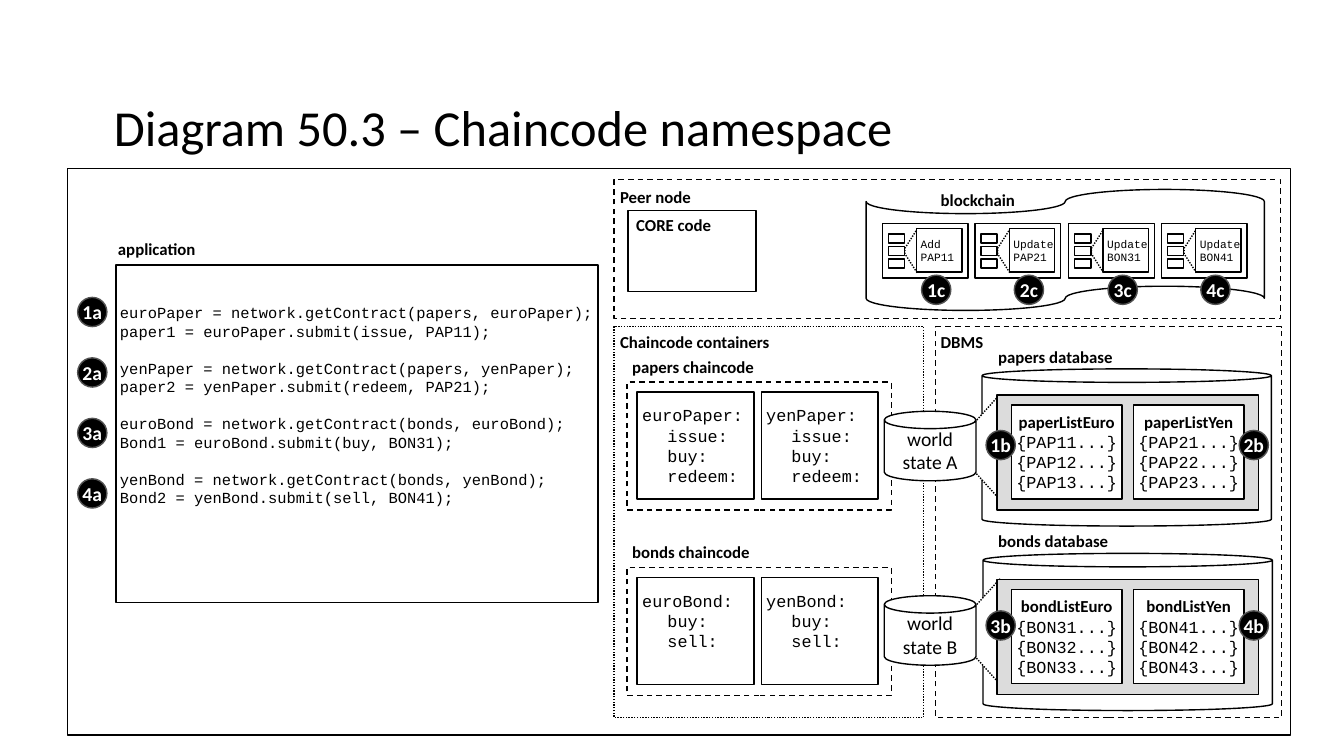
from pptx import Presentation
from pptx.dml.color import RGBColor
from pptx.enum.dml import MSO_LINE
from pptx.enum.shapes import MSO_SHAPE
from pptx.enum.text import MSO_ANCHOR, PP_ALIGN
from pptx.util import Emu, Pt

PX = 9144
BLACK = RGBColor(0x00, 0x00, 0x00)
WHITE = RGBColor(0xFF, 0xFF, 0xFF)
GREY = RGBColor(0xDC, 0xDC, 0xDC)
BADGE_EDGE = RGBColor(0x53, 0x53, 0x53)
SANS, MONO = "Calibri", "Courier New"
RECTANGLE, OVAL, CAN = MSO_SHAPE.RECTANGLE, MSO_SHAPE.OVAL, MSO_SHAPE.CAN
TRAPEZOID, TAPE = MSO_SHAPE.TRAPEZOID, MSO_SHAPE.FLOWCHART_PUNCHED_TAPE
DASH, DOT = MSO_LINE.DASH, MSO_LINE.ROUND_DOT
TOP, MIDDLE = MSO_ANCHOR.TOP, MSO_ANCHOR.MIDDLE
LEFT, CENTER = PP_ALIGN.LEFT, PP_ALIGN.CENTER

CALLS = [
    ("euroPaper = network.getContract(papers, euroPaper);",
     "paper1 = euroPaper.submit(issue, PAP11);"),
    ("yenPaper = network.getContract(papers, yenPaper);",
     "paper2 = yenPaper.submit(redeem, PAP21);"),
    ("euroBond = network.getContract(bonds, euroBond);",
     "Bond1 = euroBond.submit(buy, BON31);"),
    ("yenBond = network.getContract(bonds, yenBond);",
     "Bond2 = yenBond.submit(sell, BON41);"),
]
BLOCKS = [("Add", "PAP11"), ("Update", "PAP21"),
          ("Update", "BON31"), ("Update", "BON41")]


def emu(*lengths):
    return [Emu(round(length * PX)) for length in lengths]


def set_frame(shape, anchor=MIDDLE, margins=(5, 5, 5, 5), wrap=True):
    frame = shape.text_frame
    frame.word_wrap = wrap
    frame.vertical_anchor = anchor
    (frame.margin_left, frame.margin_top,
     frame.margin_right, frame.margin_bottom) = emu(*margins)


def write(shape, text, size=12, font=SANS, color=BLACK, bold=False,
          align=LEFT, indent=0, before=0, spacing=None):
    frame = shape.text_frame
    paragraph = frame.add_paragraph() if frame.text else frame.paragraphs[0]
    if indent:
        properties = paragraph._p.get_or_add_pPr()
        properties.set("marL", str(indent * PX))
        properties.set("indent", "0")
    paragraph.alignment = align
    paragraph.space_before = Pt(before)
    if font == MONO:
        spacing = Pt(size * 1.2)
    if spacing:
        paragraph.line_spacing = spacing
    run = paragraph.add_run()
    run.text = text
    run.font.size = Pt(size)
    run.font.name = font
    run.font.bold = bold
    run.font.color.rgb = color


def add_box(slide, box, kind=RECTANGLE, fill=WHITE, line=BLACK, dash=None,
            adjustment=None, rotation=0, **frame_format):
    shape = slide.shapes.add_shape(kind, *emu(*box))
    shape.shadow.inherit = False
    if fill is None:
        shape.fill.background()
    else:
        shape.fill.solid()
        shape.fill.fore_color.rgb = fill
    shape.line.color.rgb = line
    shape.line.width = Pt(1)
    if dash:
        shape.line.dash_style = dash
    if adjustment:
        shape.adjustments[0] = adjustment
    shape.rotation = rotation
    set_frame(shape, **frame_format)
    return shape


def add_label(slide, text, left, top, width):
    label = slide.shapes.add_textbox(*emu(left, top, width, 30))
    set_frame(label, anchor=TOP, wrap=False)
    write(label, text, bold=True)


def add_badge(slide, text, left, top):
    badge = add_box(slide, (left, top, 29, 29), OVAL, BLACK, BADGE_EDGE,
                    margins=(0, 5, 0, 5), wrap=False)
    write(badge, text, size=14, color=WHITE, bold=True, align=CENTER)


def add_title(slide, box):
    title = slide.shapes.title
    title.left, title.top, title.width, title.height = emu(*box)
    set_frame(title)
    write(title, "Diagram 50.3 – Chaincode namespace", size=36, spacing=0.9)


def add_application(slide, box):
    left, top, width, height = box
    add_label(slide, "application", left - 3, top - 31, 88)
    code = add_box(slide, box, anchor=TOP, margins=(4, 38, 0, 5))
    for index, (connect, submit) in enumerate(CALLS):
        write(code, connect, size=11, font=MONO, before=13.2 if index else 0)
        write(code, submit, size=11, font=MONO)
        add_badge(slide, f"{index + 1}a", left - 38, top + 32 + 60 * index)


def add_chaincode(slide, box, name, contracts, operations):
    left, top, width, height = box
    add_label(slide, name, left, top - 30, 133)
    add_box(slide, box, dash=DASH)
    for index, contract in enumerate(contracts):
        card = add_box(slide, (left + 10 + 123 * index, top + 10, 116, 106),
                       anchor=TOP, margins=(5, 13, 5, 5))
        write(card, f"{contract}:", font=MONO)
        for operation in operations:
            write(card, f"{operation}:", font=MONO, indent=25)


def add_database(slide, box, name, state, lists, prefix, first, badge_top):
    left, top, width, height = box
    add_label(slide, name, 985, top - 27, 125)
    add_box(slide, box, CAN, adjustment=0.086)
    add_box(slide, (917, top + 55, 104, 45), TRAPEZOID, dash=DOT,
            adjustment=1.11, rotation=270)
    world = add_box(slide, (877, top + 42, 91, 69), CAN)
    for line in ("world", state):
        write(world, line, size=14, align=CENTER)
    add_box(slide, (989, top + 26, 259, 114), fill=GREY)
    for index, list_name in enumerate(lists):
        series = first + index
        card = add_box(slide, (1003 + 121 * index, top + 36, 110, 93),
                       margins=(0, 5, 0, 5))
        write(card, list_name, bold=True, align=CENTER)
        for item in range(1, 4):
            write(card, f"{{{prefix}{series}{item}...}}", font=MONO,
                  align=CENTER)
    for index in range(2):
        add_badge(slide, f"{first + index}b", 978 + 251 * index,
                  top + badge_top)


def add_block(slide, box, lines, badge):
    left, top, width, height = box
    add_box(slide, box)
    add_box(slide, (left + 7, top + 21, 43, 12), TRAPEZOID, dash=DOT,
            adjustment=1.56, rotation=270)
    detail = add_box(slide, (left + 34, top + 5, 45, 43),
                     margins=(4, 8, 0, 8), wrap=False)
    for line in lines:
        write(detail, line, size=8, font=MONO)
    for row in range(3):
        add_box(slide, (left + 6, top + 10 + 12.5 * row, 16, 9))
    add_badge(slide, badge, left + 39, top + 51)


def add_peer(slide, box):
    left, top, width, height = box
    add_box(slide, box, fill=None, dash=DASH)
    add_label(slide, "Peer node", left + 1, top + 2, 81)
    add_box(slide, (left + 14, top + 31, 127, 80))
    add_label(slide, "CORE code", left + 17, top + 30, 86)
    add_box(slide, (left + 250, top + 10, 395, 120), TAPE)
    add_label(slide, "blockchain", left + 319, top + 5, 85)
    for index, lines in enumerate(BLOCKS):
        block_left = left + 266 + round(92.4 * index)
        add_block(slide, (block_left, top + 44, 85, 54), lines,
                  f"{index + 1}c")


def main():
    presentation = Presentation()
    presentation.slide_width, presentation.slide_height = emu(1333, 750)
    slide = presentation.slides.add_slide(presentation.slide_layouts[5])
    add_title(slide, (108, 57, 1150, 145))
    add_box(slide, (67, 167, 1213, 562), fill=None)
    add_application(slide, (115, 263, 478, 335))
    add_box(slide, (609, 324, 307, 388), fill=None, dash=DOT)
    add_box(slide, (928, 324, 343, 388), fill=None, dash=DASH)
    add_label(slide, "Chaincode containers", 610, 324, 161)
    add_label(slide, "DBMS", 928, 324, 53)
    add_chaincode(slide, (622, 379, 262, 127), "papers chaincode",
                  ("euroPaper", "yenPaper"), ("issue", "buy", "redeem"))
    add_database(slide, (974, 366, 287, 156), "papers database", "state A",
                 ("paperListEuro", "paperListYen"), "PAP", 1, 61)
    add_chaincode(slide, (622, 563, 262, 127), "bonds chaincode",
                  ("euroBond", "yenBond"), ("buy", "sell"))
    add_database(slide, (975, 549, 287, 156), "bonds database", "state B",
                 ("bondListEuro", "bondListYen"), "BON", 3, 57)
    add_peer(slide, (609, 178, 661, 138))
    presentation.save("out.pptx")


if __name__ == "__main__":
    main()
